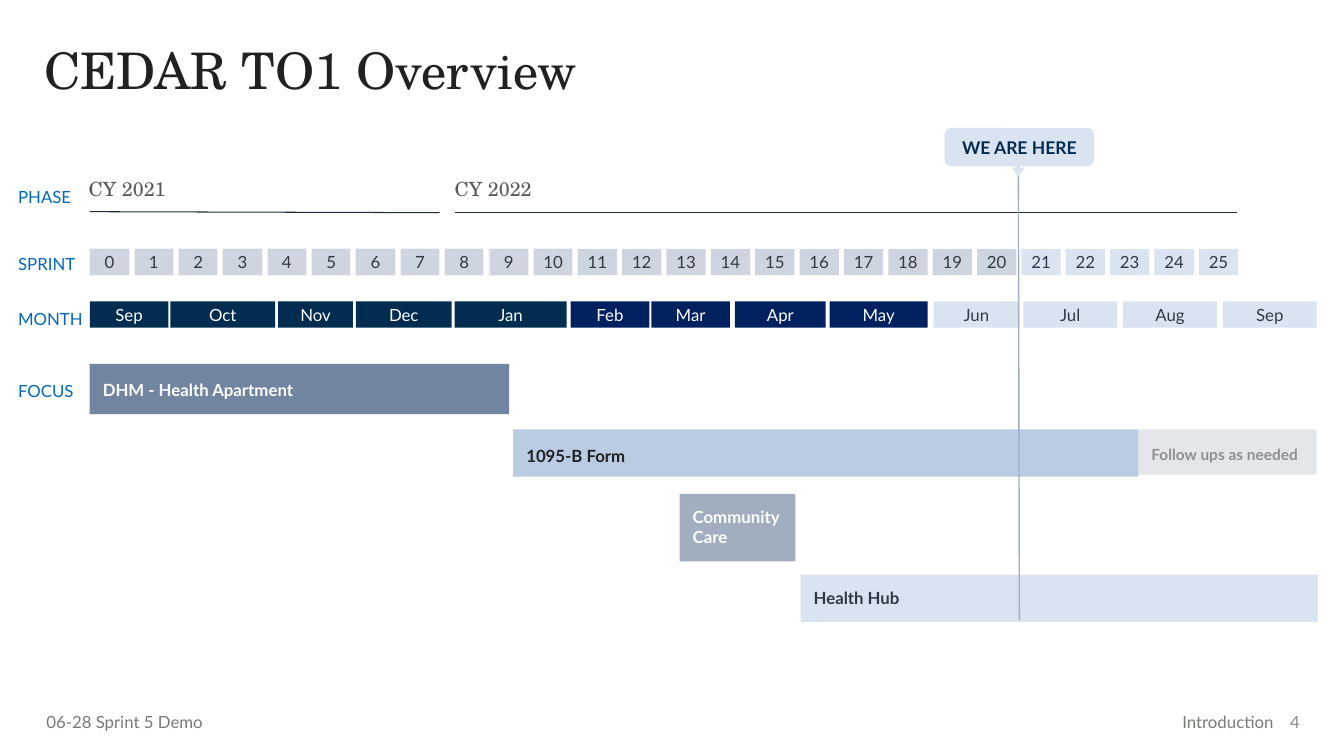
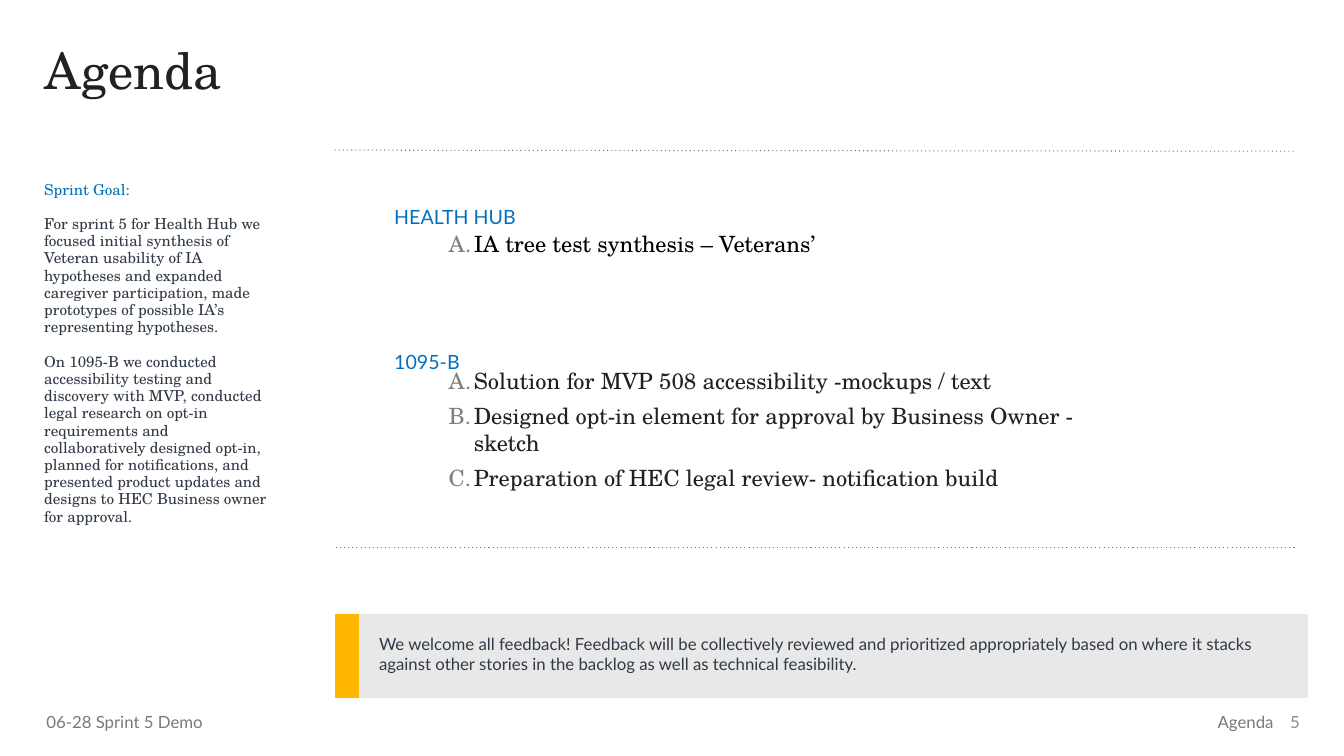
from dataclasses import dataclass

from lxml.etree import SubElement as Sub
from pptx import Presentation
from pptx.dml.color import RGBColor as Rgb
from pptx.enum.shapes import MSO_CONNECTOR as Conn, MSO_SHAPE as Kind
from pptx.enum.text import MSO_ANCHOR as Anchor, PP_ALIGN as Align
from pptx.oxml.ns import qn
from pptx.util import Emu, Pt

PX = 9144  # EMU in one px, 100 px to the inch
PLAIN = "{2D5ABB26-0587-4C30-8999-92F81FD0307C}"  # table style without grid


@dataclass(frozen=True)
class Theme:
    sans: str = "Lato"
    serif: str = "TeX Gyre Schola"
    # colours
    ink: str = "202120"
    black: str = "000000"
    text: str = "303A46"
    rule: str = "232B34"
    white: str = "FDFFFD"
    edge: str = "F0F1F0"
    label: str = "0467B8"
    head: str = "0071BF"
    year: str = "565956"
    foot: str = "747C74"
    page: str = "8A8A8A"
    mute: str = "8F8F8F"
    mark: str = "7F7F7F"
    navy: str = "022D50"
    royal: str = "002060"
    slate: str = "7185A0"
    steel: str = "A1AEBF"
    sky: str = "B9CCE2"
    past: str = "CED5E0"
    pale: str = "DAE4F0"
    gold: str = "FEB600"
    gray: str = "E8E8E8"
    # type sizes
    title: float = 36
    item: float = 16
    sub: float = 14
    here: float = 12.5
    body: float = 12
    small: float = 11
    note: float = 10.8


T = Theme()
BOX = (10, 5, 10, 5)  # left, top, right, bottom insets


def px(*vals):
    return [Emu(v * PX) for v in vals]


def pad(part, sides):
    for side, val in zip(("left", "top", "right", "bottom"), px(*sides)):
        setattr(part, f"margin_{side}", val)


def paint(fill, tone):
    fill.solid()
    fill.fore_color.rgb = Rgb.from_string(tone)


class Deck:
    def __init__(self):
        self.prs = Presentation()
        self.prs.slide_width, self.prs.slide_height = px(1333, 750)
        self.slide = None

    def page(self, title, part, num):
        """Start a slide with its title and footer."""
        self.slide = self.prs.slides.add_slide(self.prs.slide_layouts[6])
        self.label(34, 41, 1242, 82, title, T.title, T.ink, T.serif, gap=0.9)
        self.label(46, 701, 298, 30, "06-28 Sprint 5 Demo", T.body, T.foot,
                   sides=(0, 5, 10, 5))
        self.label(975, 701, 298, 30, part, T.body, T.foot, align=Align.RIGHT)
        self.label(1255, 696, 44, 40, str(num), T.body, T.page,
                   align=Align.RIGHT, anchor=Anchor.MIDDLE)

    def put(self, frame, texts, size, tone, font=T.sans, bold=False,
            align=Align.LEFT, gap=None, space=0, list_tone=None):
        """Fill a text frame, one paragraph for each text."""
        frame.word_wrap = True
        texts = [texts] if isinstance(texts, str) else texts
        for i, text in enumerate(texts):
            para = frame.paragraphs[0] if i == 0 else frame.add_paragraph()
            para.text = text
            para.alignment = align
            if gap:
                para.line_spacing = gap
            if i and space:
                para.space_before = Pt(space)
            if list_tone:
                self.count(para, list_tone)
            para.font.name = font
            para.font.size = Pt(size)
            para.font.bold = bold
            para.font.color.rgb = Rgb.from_string(tone)

    def count(self, para, tone):
        """Number a paragraph A., B., C."""
        props = para._p.get_or_add_pPr()
        props.set("marL", str(25 * PX))
        props.set("indent", str(-25 * PX))
        Sub(Sub(props, qn("a:buClr")), qn("a:srgbClr"), val=tone)
        Sub(props, qn("a:buFont"), typeface=T.serif)
        Sub(props, qn("a:buAutoNum"), type="alphaUcPeriod")

    def label(self, x, y, w, h, texts, size, tone, font=T.sans, sides=BOX,
              anchor=Anchor.TOP, **style):
        frame = self.slide.shapes.add_textbox(*px(x, y, w, h)).text_frame
        pad(frame, sides)
        frame.vertical_anchor = anchor
        self.put(frame, texts, size, tone, font, **style)

    def shape(self, x, y, w, h, fill, kind=Kind.RECTANGLE, edge=None, alpha=None):
        box = self.slide.shapes.add_shape(kind, *px(x, y, w, h))
        box.shadow.inherit = False
        paint(box.fill, fill)
        if alpha:
            clr = box.element.spPr.find(f"{qn('a:solidFill')}/{qn('a:srgbClr')}")
            Sub(clr, qn("a:alpha"), val=str(alpha * 1000))
        if edge:
            paint(box.line.fill, edge)
            box.line.width = Pt(0.75)
        else:
            box.line.fill.background()
        return box

    def cell(self, x, y, w, text, fill, tone, edge=None):
        """A small centred block of the timeline."""
        frame = self.shape(x, y, w, 26, fill, edge=edge).text_frame
        pad(frame, (3,) * 4)
        frame.vertical_anchor = Anchor.TOP
        self.put(frame, text, T.body, tone, align=Align.CENTER)

    def bar(self, x, y, w, h, text, fill, tone, size=T.body, gap=None, alpha=None):
        """A focus bar with a bold name."""
        frame = self.shape(x, y, w, h, fill, alpha=alpha).text_frame
        pad(frame, (13,) * 4)
        frame.vertical_anchor = Anchor.TOP
        self.put(frame, text, size, tone, bold=True, gap=gap)

    def line(self, x1, y1, x2, y2, tone, width=0.75, dash=None):
        conn = self.slide.shapes.add_connector(Conn.STRAIGHT, *px(x1, y1, x2, y2))
        paint(conn.line.fill, tone)
        conn.line.width = Pt(width)
        props = conn.element.spPr
        if dash:
            Sub(props.find(qn("a:ln")), qn("a:prstDash"), val=dash)
        Sub(props, qn("a:effectLst"))

    def callout(self, x, y, w, h, text):
        """A one-row table: gold strip and grey message."""
        strip = 13
        frame = self.slide.shapes.add_table(1, 2, *px(x, y, w, h))
        for style in frame.element.iter(qn("a:tableStyleId")):
            style.text = PLAIN
        table = frame.table
        table.first_row = table.horz_banding = False
        for col, width in zip(table.columns, px(strip, w - strip)):
            col.width = width
        flag, note = table.rows[0].cells
        paint(flag.fill, T.gold)
        paint(note.fill, T.gray)
        pad(note, (20,) * 4)
        self.put(note.text_frame, text, T.body, T.text)


def plan(deck):
    deck.page("CEDAR TO1 Overview", "Introduction", 4)

    # row labels
    for y, name in ((185, "PHASE"), (252, "SPRINT"), (306, "MONTH"), (378, "FOCUS")):
        deck.label(18, y, 78, 20, name, T.body, T.label, sides=(0,) * 4)

    # phases
    for x, name, start, end, y in ((78, "CY 2021", 89, 436, 210),
                                   (441, "CY 2022", 451, 1227, 211)):
        deck.label(x, 171, 300, 34, name, T.sub, T.year, T.serif)
        deck.line(start, y, end, 211, T.rule)

    # sprints
    for n in range(26):
        deck.cell(89 + 44 * n, 247, 39, str(n), T.past if n <= 20 else T.pale,
                  T.text, T.edge if n <= 10 else None)

    # months
    eras = (
        (T.navy, T.white, (("Sep", 89, 78), ("Oct", 169, 104), ("Nov", 276, 74),
                           ("Dec", 353, 95), ("Jan", 451, 111))),
        (T.royal, T.white, (("Feb", 566, 78), ("Mar", 646, 78), ("Apr", 729, 90),
                            ("May", 823, 97))),
        (T.pale, T.text, (("Jun", 926, 85), ("Jul", 1015, 93), ("Aug", 1114, 93),
                          ("Sep", 1213, 93))),
    )
    for fill, tone, months in eras:
        for name, x, w in months:
            deck.cell(x, 299, w, name, fill, tone)

    # focus bars
    deck.bar(89, 361, 416, 50, "DHM - Health Apartment", T.slate, T.white, gap=1.15)
    deck.bar(509, 426, 620, 47, "1095-B Form", T.sky, T.ink, gap=1.15)
    deck.bar(1129, 426, 177, 45, "Follow ups as needed", T.steel, T.mute,
             T.small, 1.15, alpha=29)
    deck.bar(674, 490, 115, 67, "Community Care", T.steel, T.white)
    deck.bar(794, 570, 513, 47, "Health Hub", T.pale, T.text)

    # marker for today
    deck.line(1010, 148, 1011, 615, T.steel, 1)
    flag = deck.shape(937, 127, 148, 38, T.pale, Kind.ROUNDED_RECTANGLE)
    pad(flag.text_frame, BOX)
    flag.text_frame.vertical_anchor = Anchor.MIDDLE
    deck.put(flag.text_frame, "WE ARE HERE", T.here, T.navy, bold=True,
             align=Align.CENTER)
    deck.shape(1003, 166, 14, 9, T.pale, Kind.ISOSCELES_TRIANGLE).rotation = 180


def agenda(deck):
    deck.page("Agenda", "Agenda", 5)

    # sprint goal
    goals = [
        "For sprint 5 for Health Hub we focused initial synthesis of Veteran "
        "usability of IA hypotheses and expanded caregiver participation, made "
        "prototypes of possible IA’s representing hypotheses.",
        "On 1095-B we conducted accessibility testing and discovery with MVP, "
        "conducted legal research on opt-in requirements and collaboratively "
        "designed opt-in, planned for notifications, and presented product "
        "updates and designs to HEC Business owner for approval.",
    ]
    deck.label(34, 175, 247, 30, "Sprint Goal:", T.note, T.head, T.serif, gap=0.95)
    deck.label(34, 209, 247, 357, goals, T.note, T.text, T.serif, gap=0.95,
               space=12.3)

    # topics between dotted rules
    deck.line(332, 149, 1283, 150, T.foot, dash="dot")
    deck.line(333, 543, 1284, 543, T.foot, dash="dot")
    topics = (
        ("HEALTH HUB", 198, 228, 27, T.black, ["IA tree test synthesis – Veterans’"]),
        ("1095-B", 342, 364, 98, T.ink, [
            "Solution for MVP 508 accessibility -mockups / text",
            "Designed opt-in element for approval by Business Owner - sketch",
            "Preparation of HEC legal review- notification build"]),
    )
    for name, top, y, h, tone, items in topics:
        deck.label(391, top, 528, 40, name, T.sub, T.head, sides=(0, 5, 0, 5))
        deck.label(445, y, 680, h, items, T.item, tone, T.serif, (0,) * 4,
                   space=6, list_tone=T.mark)

    # feedback message
    deck.callout(332, 609, 954, 83,
                 "We welcome all feedback! Feedback will be collectively reviewed "
                 "and prioritized appropriately based on where it stacks against "
                 "other stories in the backlog as well as technical feasibility.")


def main():
    deck = Deck()
    plan(deck)
    agenda(deck)
    deck.prs.save("out.pptx")


if __name__ == "__main__":
    main()
